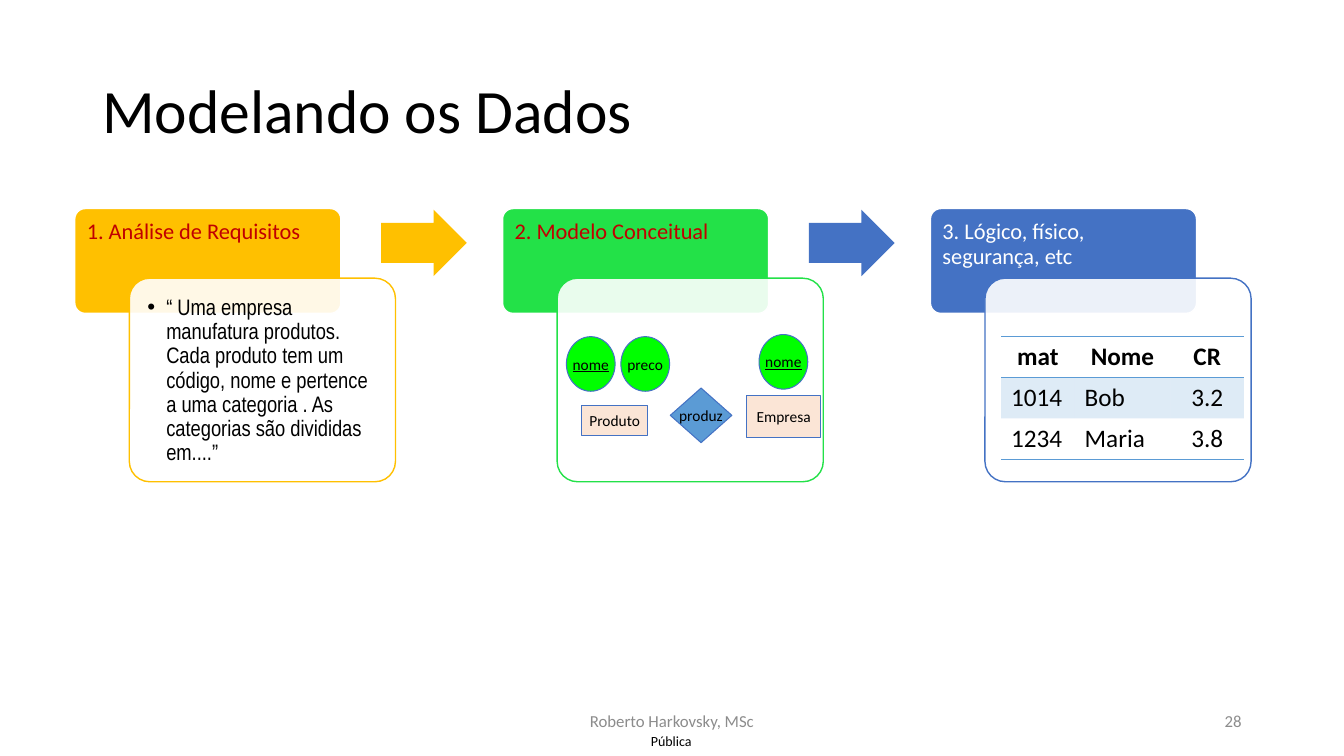
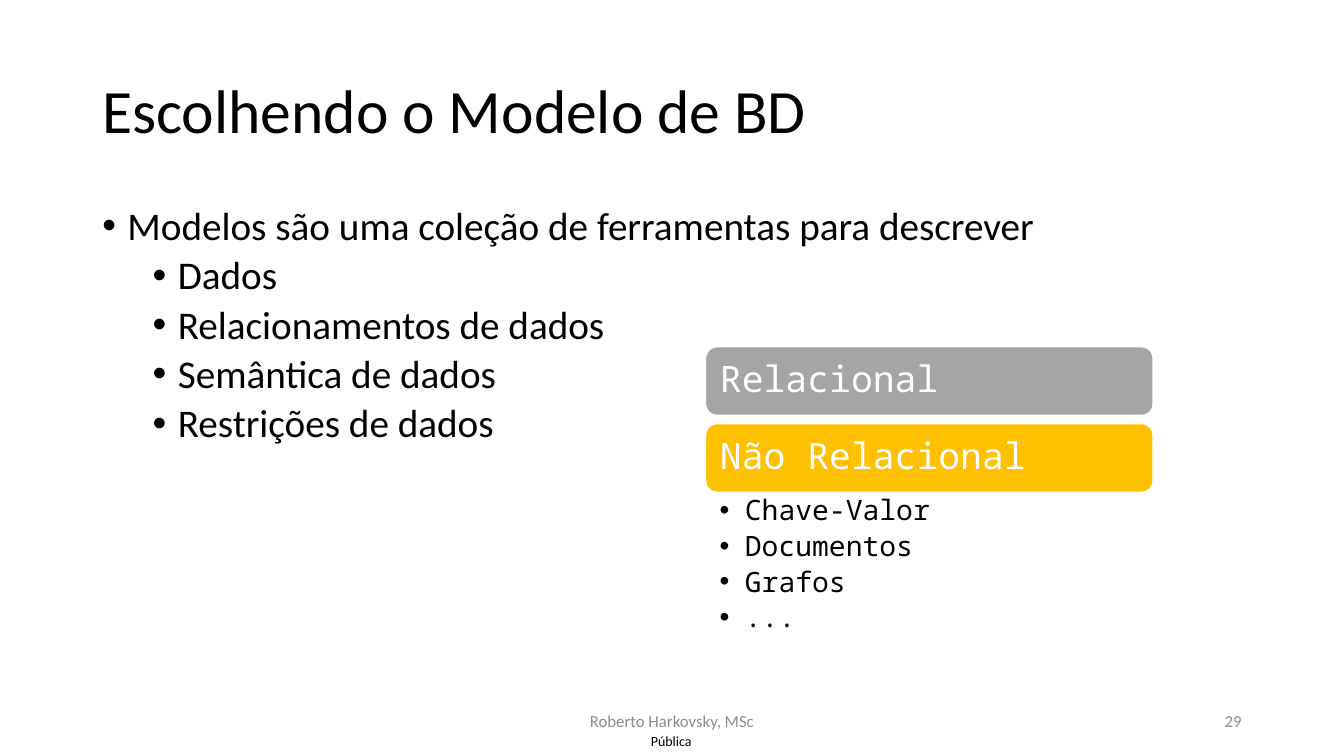
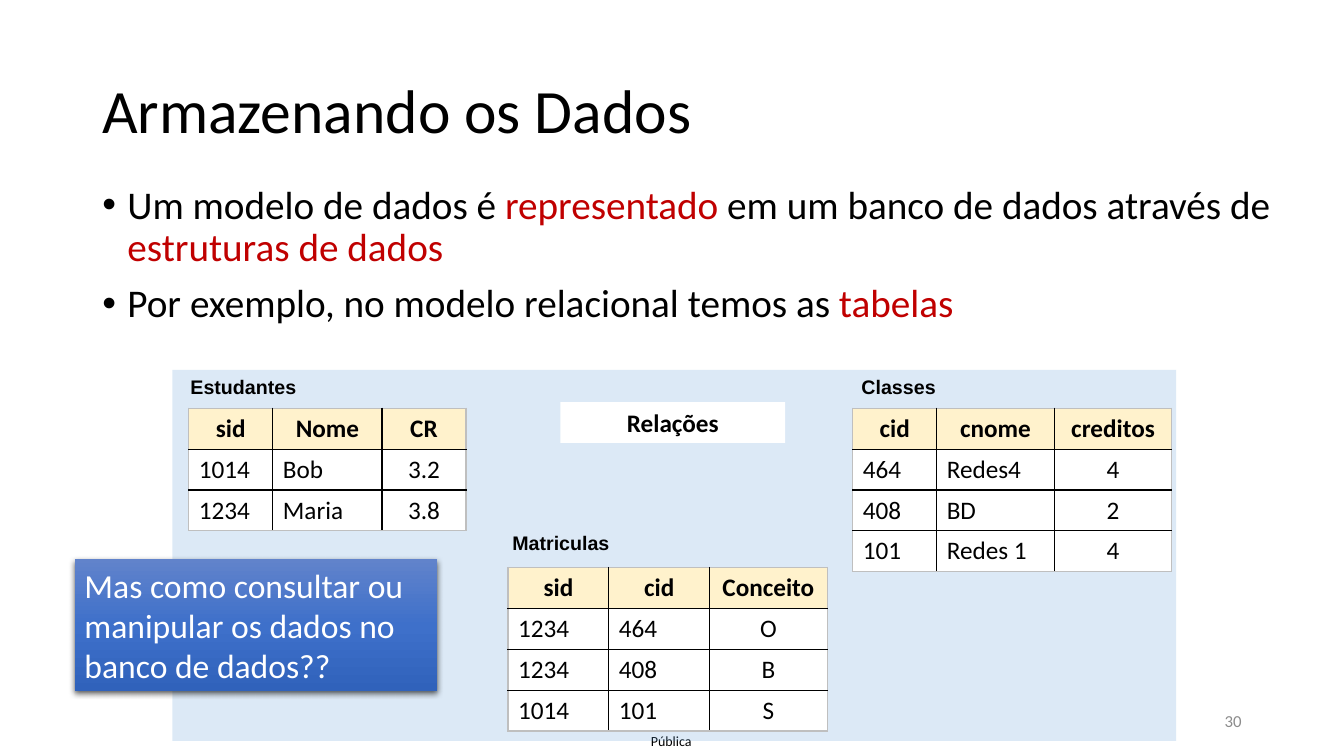
from lxml import etree
from pptx import Presentation
from pptx.dml.color import RGBColor
from pptx.enum.shapes import MSO_SHAPE
from pptx.enum.text import MSO_ANCHOR, PP_ALIGN
from pptx.oxml import parse_xml
from pptx.oxml.ns import nsdecls, qn
from pptx.util import Pt

LEFT, CENTER, RIGHT = PP_ALIGN.LEFT, PP_ALIGN.CENTER, PP_ALIGN.RIGHT
TOP, MIDDLE = MSO_ANCHOR.TOP, MSO_ANCHOR.MIDDLE
RECT, ROUNDED = MSO_SHAPE.RECTANGLE, MSO_SHAPE.ROUNDED_RECTANGLE
ELLIPSE, DIAMOND, ARROW = MSO_SHAPE.OVAL, MSO_SHAPE.DIAMOND, MSO_SHAPE.RIGHT_ARROW
NO_TABLE_STYLE = "{2D5ABB26-0587-4C30-8999-92F81FD0307C}"

COLORS = {
    "black": "000000", "white": "FFFFFF", "muted": "8C8C8C", "red": "C00000",
    "amber": "FFC000", "green": "23E148", "blue": "4472C4", "gray": "A5A5A5",
    "sky": "5B9BD5", "lime": "00FF00", "peach": "FBE5D6", "cream": "FFF2CC",
    "edge": "BFBFBF",
}
GRADIENT = [(0, "6183CB"), (50, "3E70CA"), (100, "3062BB")]

# Shared frame of every slide
TITLE_BOX = (66, 28.8, 828, 104.4)
AUTHOR_BOX = (318, 500.4, 324, 28.8)
NUMBER_BOX = (678, 500.4, 216, 28.8)
LABEL_BOX = (454.3, 519.1, 50.4, 20.9)
AUTHOR = "Roberto Harkovsky, MSc"
CLASSIFICATION = "Pública"

# Slide content
STAGES = [
    ("1. Análise de Requisitos", "amber", "red",
     "“ Uma empresa manufatura produtos. Cada produto tem um código, nome e pertence "
     "a uma categoria . As categorias são divididas em....”"),
    ("2. Modelo Conceitual", "green", "red", None),
    ("3. Lógico, físico, segurança, etc", "blue", "white", None),
]
ENTITY_DIAGRAM = [
    ("produz", DIAMOND, "sky", False, (478.8, 277.2, 44, 39)),
    ("Produto", RECT, "peach", False, (415.4, 289.4, 47.5, 21.6)),
    ("nome", ELLIPSE, "lime", True, (404.6, 240.5, 34.8, 39)),
    ("preco", ELLIPSE, "lime", False, (443.5, 240.5, 34.8, 39)),
    ("Empresa", RECT, "peach", False, (533.5, 282.2, 52.6, 30.2)),
    ("nome", ELLIPSE, "lime", True, (542.2, 239, 34.8, 39)),
]
STUDENTS = [("1014", "Bob", "3.2"), ("1234", "Maria", "3.8")]
LOGICAL_TABLE = [("mat", "Nome", "CR"), *STUDENTS]

MODEL_USES = ["Dados", "Relacionamentos de dados", "Semântica de dados",
              "Restrições de dados"]
MODEL_TYPES = [("Relacional", "gray"), ("Não Relacional", "amber")]
NON_RELATIONAL = ["Chave-Valor", "Documentos", "Grafos", "..."]

STORAGE_POINTS = [
    [("Um modelo de dados é ", "black"), ("representado", "red"),
     (" em um banco de dados através de ", "black"), ("estruturas de dados", "red")],
    [("Por exemplo, no modelo relacional temos as ", "black"), ("tabelas", "red")],
]
RELATIONS = [  # name, name position, table position, column widths, rows
    ("Estudantes", (108, 264.2), (134.9, 291.6), (60, 78, 60),
     [("sid", "Nome", "CR"), *STUDENTS]),
    ("Classes", (576, 264.2), (609.1, 291.6), (60, 84, 84),
     [("cid", "cnome", "creditos"), ("464", "Redes4", "4"), ("408", "BD", "2"),
      ("101", "Redes 1", "4")]),
    ("Matriculas", (334.8, 375.8), (362.9, 405.4), (72, 72, 84),
     [("sid", "cid", "Conceito"), ("1234", "464", "O"), ("1234", "408", "B"),
      ("1014", "101", "S")]),
]

RULED = {"row_fills": [None, ("sky", 20), None],
         "outer_h": "sky", "outer_v": None, "header": "sky", "inner_h": None, "inner_v": None}
GRID = {"row_fills": [("cream", 100)] + [("white", 100)] * 3,
        "outer_h": "edge", "outer_v": "edge", "header": "black", "inner_h": "black",
        "inner_v": "black"}


def rgb(name):
    return RGBColor.from_string(COLORS[name])


def paint(fill, properties, color, alpha=100):
    """Solid fill; properties is the XML element that holds it."""
    fill.solid()
    fill.fore_color.rgb = rgb(color)
    if alpha < 100:
        tint = properties.find(qn("a:solidFill")).find(qn("a:srgbClr"))
        etree.SubElement(tint, qn("a:alpha")).set("val", str(alpha * 1000))


def write(frame, paragraphs, size, color="black", font="Calibri", bold=False,
          underline=False, align=LEFT, anchor=TOP, insets=(7.2, 3.6, 7.2, 3.6),
          wrap=True, spacing=None, before=0, after=0, indents=None):
    """Fill a text frame; a paragraph is a string or a list of (text, color).

    indents gives a bullet and its text position for each paragraph, as (left, hanging).
    """
    frame.word_wrap = wrap
    frame.vertical_anchor = anchor
    for side, inset in zip(("left", "top", "right", "bottom"), insets):
        setattr(frame, f"margin_{side}", Pt(inset))
    for index, content in enumerate(paragraphs):
        paragraph = frame.add_paragraph() if index else frame.paragraphs[0]
        if indents:
            left, hanging = indents[index]
            properties = paragraph._p.get_or_add_pPr()
            properties.set("marL", str(Pt(left)))
            properties.set("indent", str(-Pt(hanging)))
            properties.append(parse_xml(f'<a:buFont {nsdecls("a")} typeface="Arial"/>'))
            properties.append(parse_xml(f'<a:buChar {nsdecls("a")} char="•"/>'))
        layout = {"alignment": align, "line_spacing": spacing,
                  "space_before": Pt(before if index else 0), "space_after": Pt(after)}
        for key, value in layout.items():
            setattr(paragraph, key, value)
        runs = [(content, color)] if isinstance(content, str) else content
        for text, run_color in runs:
            run = paragraph.add_run()
            run.text = text
            look = {"name": font, "size": Pt(size), "bold": bold, "underline": underline}
            for key, value in look.items():
                setattr(run.font, key, value)
            run.font.color.rgb = rgb(run_color)


def add_text(slide, box, paragraphs, size, **style):
    frame = slide.shapes.add_textbox(*map(Pt, box)).text_frame
    write(frame, paragraphs, size, **style)


def add_block(slide, kind, box, fill, line=None, width=1, alpha=100, adjust=()):
    block = slide.shapes.add_shape(kind, *map(Pt, box))
    block.shadow.inherit = False
    paint(block.fill, block._element.spPr, fill, alpha)
    if line:
        block.line.color.rgb = rgb(line)
        block.line.width = Pt(width)
    else:
        block.line.fill.background()
    for index, value in enumerate(adjust):
        block.adjustments[index] = value
    return block


def set_borders(cell, edges):
    """edges: color names, or None, for left, right, top and bottom."""
    properties = cell._tc.get_or_add_tcPr()
    for index, (tag, color) in enumerate(zip(("lnL", "lnR", "lnT", "lnB"), edges)):
        ink = (f'<a:solidFill><a:srgbClr val="{COLORS[color]}"/></a:solidFill>'
               if color else "<a:noFill/>")
        properties.insert(index, parse_xml(
            f'<a:{tag} {nsdecls("a")} w="{Pt(1)}">{ink}</a:{tag}>'))


def add_data_table(slide, position, widths, rows, style, row_height=29.2):
    box = (*position, sum(widths), row_height * len(rows))
    table = slide.shapes.add_table(len(rows), len(widths), *map(Pt, box)).table
    table.first_row = table.horz_banding = False
    table._tbl.tblPr.find(qn("a:tableStyleId")).text = NO_TABLE_STYLE
    for column, width in zip(table.columns, widths):
        column.width = Pt(width)
    last_row, last_column = len(rows) - 1, len(widths) - 1
    rules = [style["outer_h"], style["header"]]
    rules += [style["inner_h"]] * (last_row - 1) + [style["outer_h"]]
    posts = [style["outer_v"]] + [style["inner_v"]] * last_column + [style["outer_v"]]
    for r, values in enumerate(rows):
        table.rows[r].height = Pt(row_height)
        for c, value in enumerate(values):
            cell = table.cell(r, c)
            centered = r == 0 or c == last_column
            write(cell.text_frame, [value], 18, bold=r == 0,
                  align=CENTER if centered else LEFT)
            row_fill = style["row_fills"][r]
            if row_fill:
                paint(cell.fill, cell._tc.tcPr, *row_fill)
            else:
                cell.fill.background()
            set_borders(cell, (posts[c], posts[c + 1], rules[r], rules[r + 1]))


def start_slide(deck, title, number, author=True):
    slide = deck.slides.add_slide(deck.slide_layouts[6])
    add_text(slide, LABEL_BOX, [CLASSIFICATION], 10, align=CENTER, anchor=MIDDLE,
             insets=(0, 0, 0, 0))
    add_text(slide, TITLE_BOX, [title], 44, anchor=MIDDLE, spacing=0.9)
    footer = {"color": "muted", "anchor": MIDDLE}
    if author:
        add_text(slide, AUTHOR_BOX, [AUTHOR], 12, align=CENTER, **footer)
    add_text(slide, NUMBER_BOX, [str(number)], 12, align=RIGHT, **footer)
    return slide


def build_modeling(deck):
    slide = start_slide(deck, "Modelando os Dados", 28)
    first_left, pitch = 53.4, 305.6
    for index, (name, color, text_color, note) in enumerate(STAGES):
        left = first_left + index * pitch
        header = add_block(slide, ROUNDED, (left, 149, 190.1, 74.9), color, "white",
                           adjust=[0.1])
        write(header.text_frame, [name], 16, color=text_color, spacing=0.9,
              insets=(6.4, 6.4, 6.4, 5))
        card = add_block(slide, ROUNDED, (left + 39, 198.7, 190.1, 145.4), "white", color,
                         alpha=90, adjust=[0.1])
        if note:
            write(card.text_frame, [note], 16, font="Arial Narrow", spacing=0.9,
                  insets=(8.64,) * 4, indents=[(13.5, 13.5)])
        if index < len(STAGES) - 1:
            add_block(slide, ARROW, (left + 218.8, 149.8, 61.2, 47.5), color if not index
                      else "blue", adjust=[0.6, 0.5])
    for name, kind, color, is_key, box in ENTITY_DIAGRAM:
        part = add_block(slide, kind, box, color, "blue", 0.75)
        write(part.text_frame, [name], 11, underline=is_key, align=CENTER, anchor=MIDDLE,
              wrap=False)
    add_data_table(slide, (715, 240.5), (52.6, 68.4, 52.6), LOGICAL_TABLE, RULED)


def build_model_choice(deck):
    slide = start_slide(deck, "Escolhendo o Modelo de BD", 29)
    add_text(slide, (66, 144, 828, 342.7),
             ["Modelos são uma coleção de ferramentas para descrever", *MODEL_USES], 28,
             spacing=0.9, before=5, indents=[(18, 18)] + [(54, 18)] * len(MODEL_USES))
    left, top, width, height, pitch = 504, 247.7, 319.7, 49, 54.9
    for index, (name, color) in enumerate(MODEL_TYPES):
        bar = add_block(slide, ROUNDED, (left, top + index * pitch, width, height), color,
                        "white")
        write(bar.text_frame, [name], 26, color="white", font="Noto Sans Mono",
              anchor=MIDDLE, spacing=0.9, insets=(7.92,) * 4)
    list_top = top + (len(MODEL_TYPES) - 1) * pitch + height
    add_text(slide, (left, list_top, width, 105.8), NON_RELATIONAL, 20,
             font="Noto Sans Mono", spacing=0.9, after=4, insets=(10.1, 2.9, 14.4, 2.9),
             indents=[(18, 18)] * len(NON_RELATIONAL))


def build_storage(deck):
    slide = start_slide(deck, "Armazenando os Dados", 30, author=False)
    add_text(slide, (66, 128.9, 851.8, 93.6), STORAGE_POINTS, 28, spacing=0.9, before=10,
             indents=[(18, 18)] * len(STORAGE_POINTS))
    add_block(slide, RECT, (123.1, 264.2, 717.1, 265), "sky", alpha=21)
    for name, name_position, position, widths, rows in RELATIONS:
        add_data_table(slide, position, widths, rows, GRID)
        add_text(slide, (*name_position, 131.8, 24.5), [name], 14, font="Arial", bold=True,
                 align=CENTER)
    heading = add_block(slide, RECT, (400.3, 287.3, 160.6, 29), "white")
    write(heading.text_frame, ["Relações"], 18, bold=True, align=CENTER)

    question = add_block(slide, RECT, (53.3, 399.6, 259.2, 94.3), "blue")
    stops = "".join(f'<a:gs pos="{position * 1000}"><a:srgbClr val="{color}"/></a:gs>'
                    for position, color in GRADIENT)
    properties = question._element.spPr
    properties.replace(properties.find(qn("a:solidFill")), parse_xml(
        f'<a:gradFill {nsdecls("a")}><a:gsLst>{stops}</a:gsLst>'
        '<a:lin ang="5400000" scaled="0"/></a:gradFill>'))
    properties.find(qn("a:effectLst")).append(parse_xml(
        f'<a:outerShdw {nsdecls("a")} blurRad="{Pt(4.5)}" dist="{Pt(1.5)}" dir="5400000" '
        f'rotWithShape="0"><a:srgbClr val="{COLORS["black"]}"><a:alpha val="63000"/>'
        '</a:srgbClr></a:outerShdw>'))
    write(question.text_frame,
          ["Mas como consultar ou manipular os dados no banco de dados??"], 24,
          color="white")


def main():
    deck = Presentation()
    deck.slide_width, deck.slide_height = Pt(960), Pt(540)
    for build in (build_modeling, build_model_choice, build_storage):
        build(deck)
    deck.save("out.pptx")


if __name__ == "__main__":
    main()
